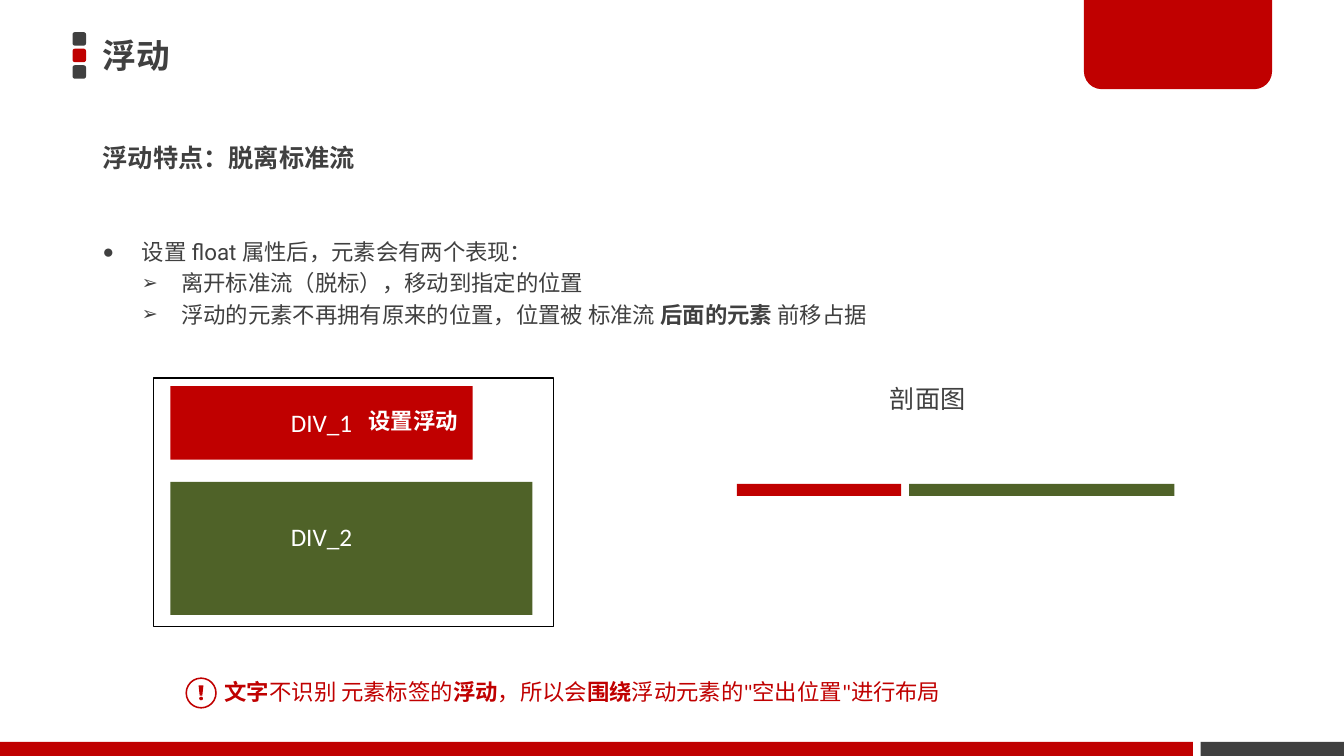
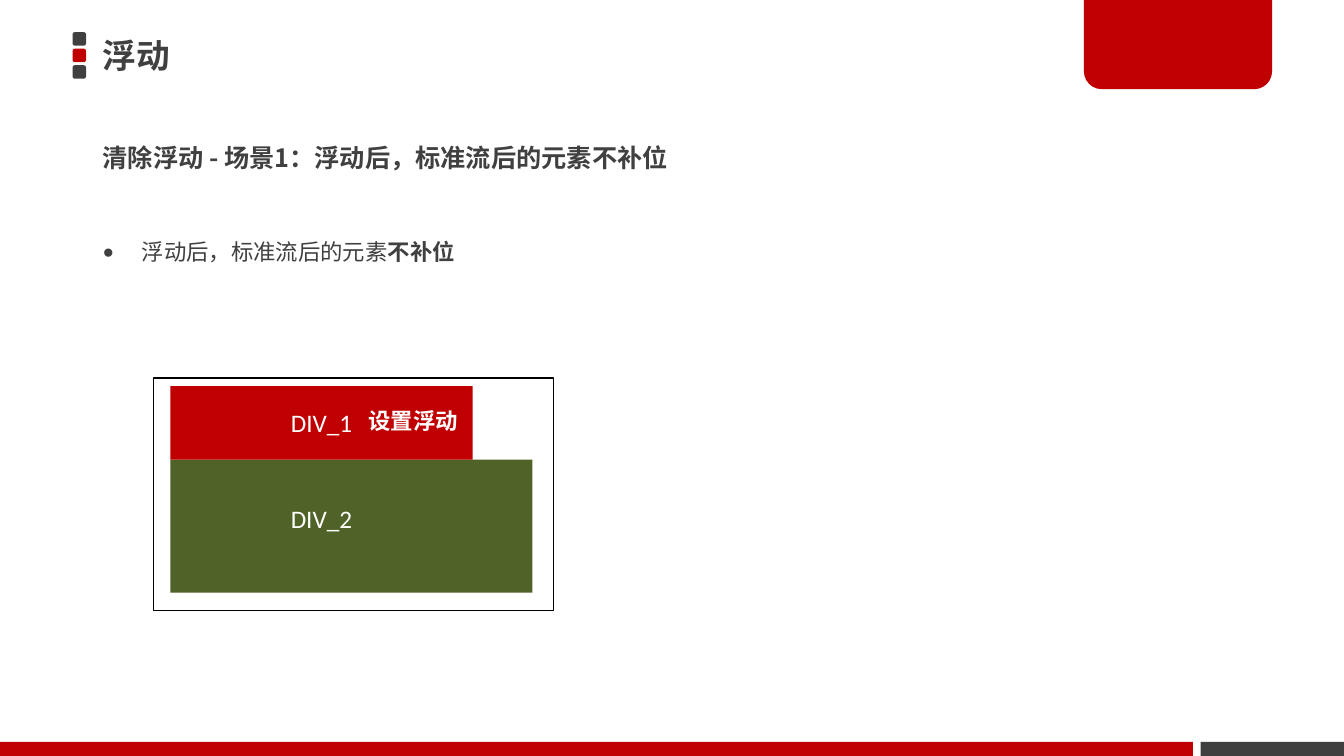
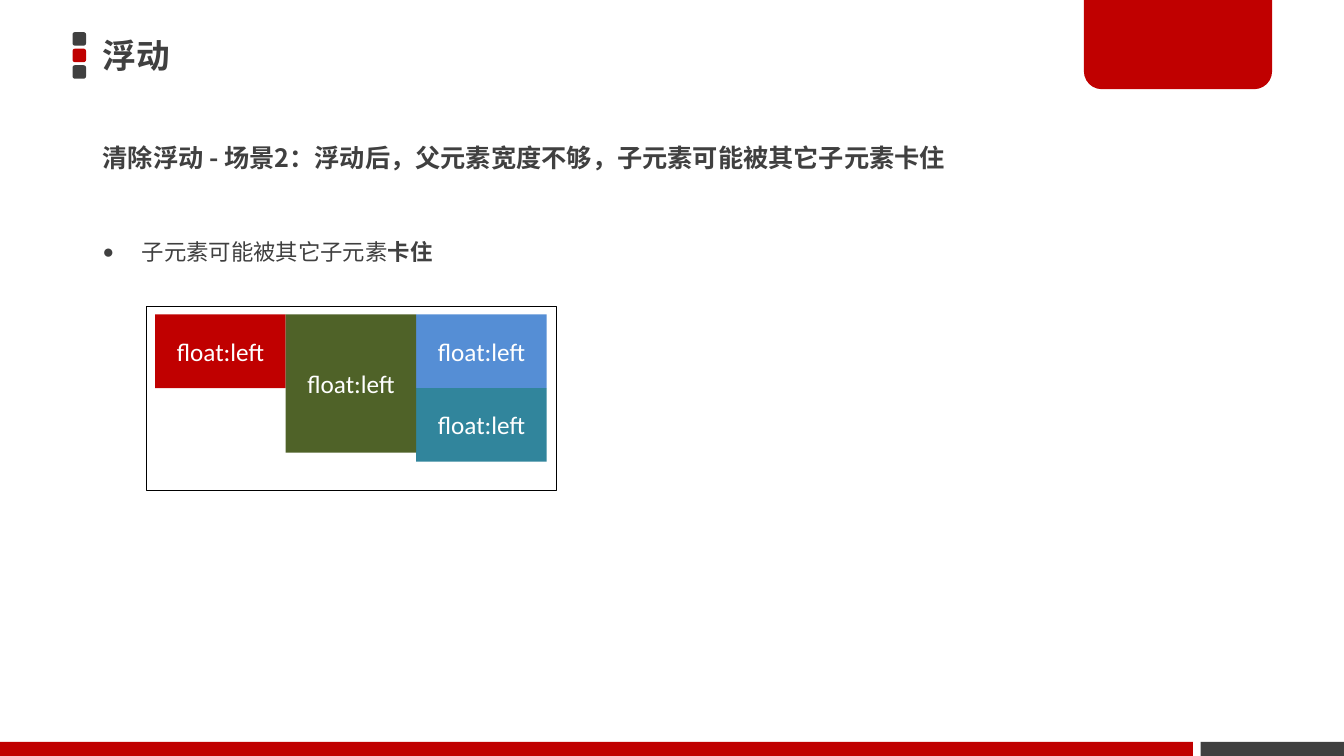
from lxml import etree
from pptx import Presentation
from pptx import util as u
from pptx.dml.color import RGBColor
from pptx.enum import shapes, text
from pptx.oxml import ns

WIDTH, HEIGHT = 13.33, 7.5
COLOURS = {
    "ink": "404040",
    "red": "C00000",
    "green": "4F6228",
    "blue": "558ED5",
    "teal": "31859C",
    "black": "000000",
    "white": "FFFFFF",
}
CJK = "Noto Sans CJK JP"
FORMATS = {
    "title": {"size": u.Pt(24), "name": CJK, "bold": True},
    "heading": {"size": u.Pt(18), "name": CJK, "bold": True},
    "body": {"size": u.Pt(16), "name": "Roboto", "bold": False},
    "label": {"size": u.Pt(18), "name": "Calibri", "bold": False},
    "note": {"size": u.Pt(16), "name": "Calibri", "bold": False},
}
BULLETS = [
    {"char": "●", "spacing": 1.5, "size": 85},
    {"char": "➢", "spacing": 1.0, "size": 85},
]
INDENT = u.Inches(0.39)
SHAPE = shapes.MSO_SHAPE


# Measures: shares of the slide, in percent
def across(share):
    return u.Inches(WIDTH * share / 100)


def down(share):
    return u.Inches(HEIGHT * share / 100)


def place(left, top, width, height):
    return across(left), down(top), across(width), down(height)


def colour(name):
    return RGBColor.from_string(COLOURS[name])


# Text
def write(para, words, style, ink):
    """Parts of the words between asterisks are bold."""
    for index, part in enumerate(words.split("*")):
        if not part:
            continue
        span = para.add_run()
        span.text = part
        for key, value in FORMATS[style].items():
            setattr(span.font, key, value)
        if index % 2:
            span.font.bold = True
        span.font.color.rgb = colour(ink)
        if FORMATS[style]["name"] == CJK:
            east = etree.SubElement(span.font._element, ns.qn("a:ea"))
            east.set("typeface", CJK)


def add_text(page, area, words, style, ink="ink", wrap=True, centred=False):
    box = page.shapes.add_textbox(*place(*area))
    frame = box.text_frame
    frame.word_wrap = wrap
    if wrap:
        frame.vertical_anchor = text.MSO_ANCHOR.MIDDLE
    else:
        frame.auto_size = text.MSO_AUTO_SIZE.SHAPE_TO_FIT_TEXT
    para = frame.paragraphs[0]
    para.alignment = text.PP_ALIGN.CENTER if centred else text.PP_ALIGN.LEFT
    write(para, words, style, ink)


def set_bullet(para, level):
    bullet = BULLETS[level]
    para.level = level
    para.line_spacing = bullet["spacing"]
    props = para._p.get_or_add_pPr()
    props.set("marL", str(INDENT * (level + 1)))
    props.set("indent", str(-INDENT))
    tint = etree.SubElement(props, ns.qn("a:buClr"))
    etree.SubElement(tint, ns.qn("a:srgbClr")).set("val", COLOURS["ink"])
    for tag, key, value in (
        ("a:buSzPct", "val", str(bullet["size"] * 1000)),
        ("a:buFont", "typeface", "Arial"),
        ("a:buChar", "char", bullet["char"]),
    ):
        etree.SubElement(props, ns.qn(tag)).set(key, value)


def add_bullets(page, items):
    box = page.shapes.add_textbox(*place(6.9, 29.07, 76.35, 20.9))
    frame = box.text_frame
    frame.word_wrap = True
    for index, (level, words) in enumerate(items):
        para = frame.add_paragraph() if index else frame.paragraphs[0]
        if index:
            para.space_before = u.Pt(3.2)
        set_bullet(para, level)
        write(para, words, "body", "ink")


# Shapes
def paint(shape, fill=None, line=None):
    shape.shadow.inherit = False
    if fill:
        shape.fill.solid()
        shape.fill.fore_color.rgb = colour(fill)
    else:
        shape.fill.background()
    if line:
        shape.line.color.rgb = colour(line)
        shape.line.width = u.Pt(0.75)
    else:
        shape.line.fill.background()


def add_block(page, area, fill=None, line=None, kind=SHAPE.RECTANGLE,
              corners=(), words=""):
    block = page.shapes.add_shape(kind, *place(*area))
    for index, corner in enumerate(corners):
        block.adjustments[index] = corner
    paint(block, fill, line)
    if words:
        frame = block.text_frame
        frame.vertical_anchor = text.MSO_ANCHOR.MIDDLE
        para = frame.paragraphs[0]
        para.alignment = text.PP_ALIGN.CENTER
        write(para, words, "label", "white")


def add_alert(page, left, top):
    """Ring with an exclamation mark."""
    add_block(page, (left, top, 2.33, 4.13), "red", kind=SHAPE.DONUT,
              corners=[0.05])
    middle = left + 1.16
    corners = [(across(middle + x), down(top + y)) for x, y in
               ((-0.18, 1.05), (0.18, 1.05), (0.1, 2.4), (-0.1, 2.4))]
    outline = page.shapes.build_freeform(*corners[0])
    outline.add_line_segments(corners[1:], close=True)
    paint(outline.convert_to_shape(), "red")
    add_block(page, (middle - 0.14, top + 2.55, 0.28, 0.48), "red",
              kind=SHAPE.OVAL)


# What every slide shares
def add_page(deck, heading, items):
    page = deck.slides.add_slide(deck.slide_layouts[6])
    for row, fill in enumerate(("ink", "red", "ink")):
        add_block(page, (5.4, 4.25 + row * 2.19, 1, 1.78), fill,
                  kind=SHAPE.ROUNDED_RECTANGLE, corners=[0.17])
    add_block(page, (89.33, 98.13, 10.67, 1.87), "ink")
    add_block(page, (80.65, 0, 14, 11.8), "red",
              kind=SHAPE.ROUND_2_SAME_RECTANGLE, corners=[0, 0.2])
    add_block(page, (0, 98.13, 88.75, 1.87), "red")
    add_text(page, (6.9, 3.47, 71.9, 7.6), "浮动", "title")
    add_text(page, (6.9, 17.07, 80.8, 7.6), heading, "heading")
    add_bullets(page, items)
    return page


# Two stacked blocks in a frame, the upper one floating
def add_stack(page, frame_height, second_top, label_top):
    add_block(page, (12.68, second_top, 26.93, 17.6), "green")
    add_block(page, (11.4, 50, 29.8, frame_height), line="black")
    add_block(page, (12.68, 51.07, 22.5, 9.73), "red", words="DIV_1")
    add_text(page, (20.85, label_top, 6.15, 5.33), "DIV_2", "label", "white",
             wrap=False, centred=True)
    add_text(page, (26.63, 53.2, 8.25, 4.93), "*设置浮动*", "note", "white",
             wrap=False, centred=True)


def add_section_view(page):
    add_block(page, (67.65, 64, 19.73, 1.6), "green")
    add_block(page, (54.83, 64, 12.23, 1.6), "red")
    add_text(page, (65.48, 50, 7.2, 5.33), "剖面图", "label", wrap=False)


def add_floats(page):
    left, top, width, height = 11.55, 41.6, 9.71, 9.73
    add_block(page, (10.87, 40.53, 30.53, 24.4), line="black")
    for column, row, tall, fill in (
        (0, 0, height, "red"),
        (2, 0, height, "blue"),
        (2, 1, height, "teal"),
        (1, 0, 18.27, "green"),
    ):
        area = (left + column * width, top + row * height, width, tall)
        add_block(page, area, fill, words="float:left")


def main():
    deck = Presentation()
    deck.slide_width, deck.slide_height = u.Inches(WIDTH), u.Inches(HEIGHT)

    # Leaving the normal flow
    page = add_page(deck, "浮动特点：脱离标准流", [
        (0, "设置 float 属性后，元素会有两个表现："),
        (1, "离开标准流（脱标），移动到指定的位置"),
        (1, "浮动的元素不再拥有原来的位置，位置被 标准流 *后面的元素 *前移占据"),
    ])
    add_stack(page, 32.93, 63.73, 68.27)
    add_section_view(page)
    add_text(page, (15.98, 89.07, 57.45, 4.93),
             "*文字*不识别 元素标签的*浮动*，所以会*围绕*浮动元素的\"空出位置\"进行布局",
             "note", "red", wrap=False)
    add_alert(page, 13.8, 89.6)

    # Case 1
    page = add_page(deck, "清除浮动 - 场景1：浮动后，标准流后的元素不补位", [
        (0, "浮动后，标准流后的元素*不补位*"),
    ])
    add_stack(page, 30.8, 60.8, 65.87)

    # Case 2
    page = add_page(
        deck, "清除浮动 - 场景2：浮动后，父元素宽度不够，子元素可能被其它子元素卡住",
        [(0, "子元素可能被其它子元素*卡住*")])
    add_floats(page)

    deck.save("out.pptx")


if __name__ == "__main__":
    main()
